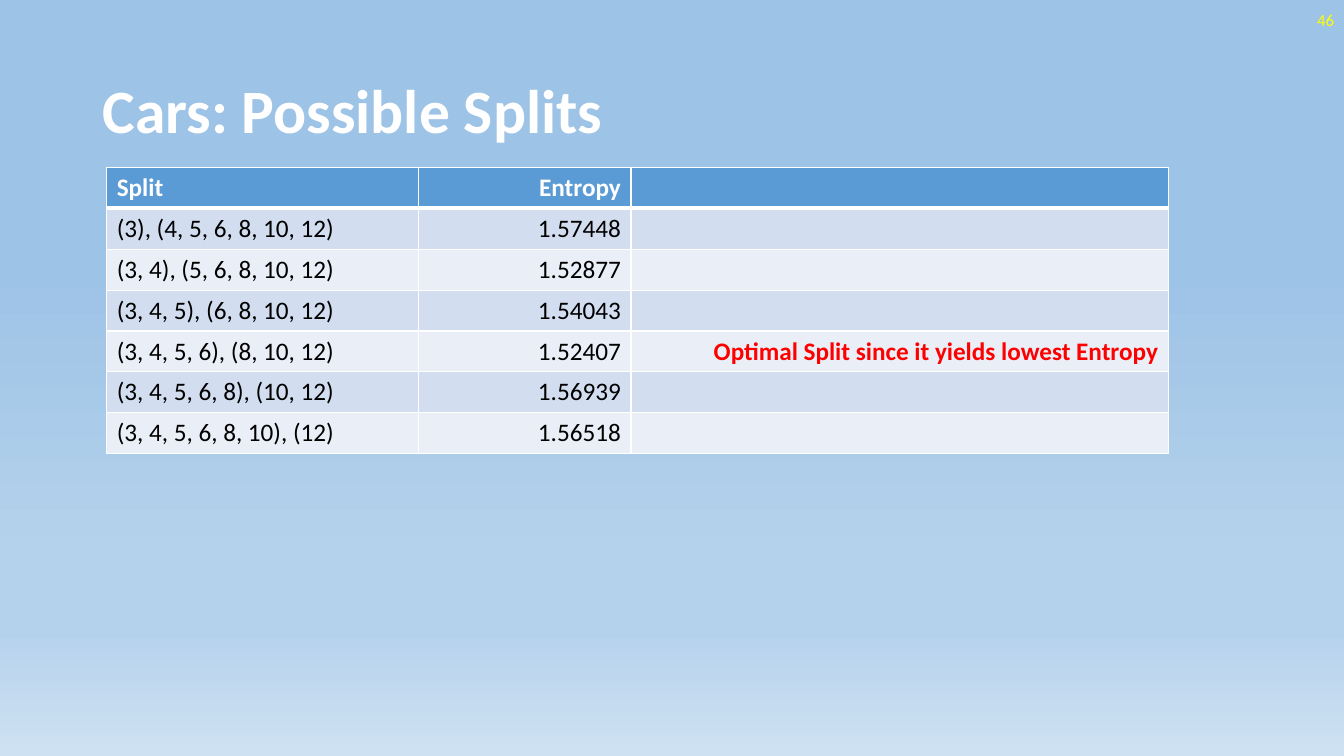
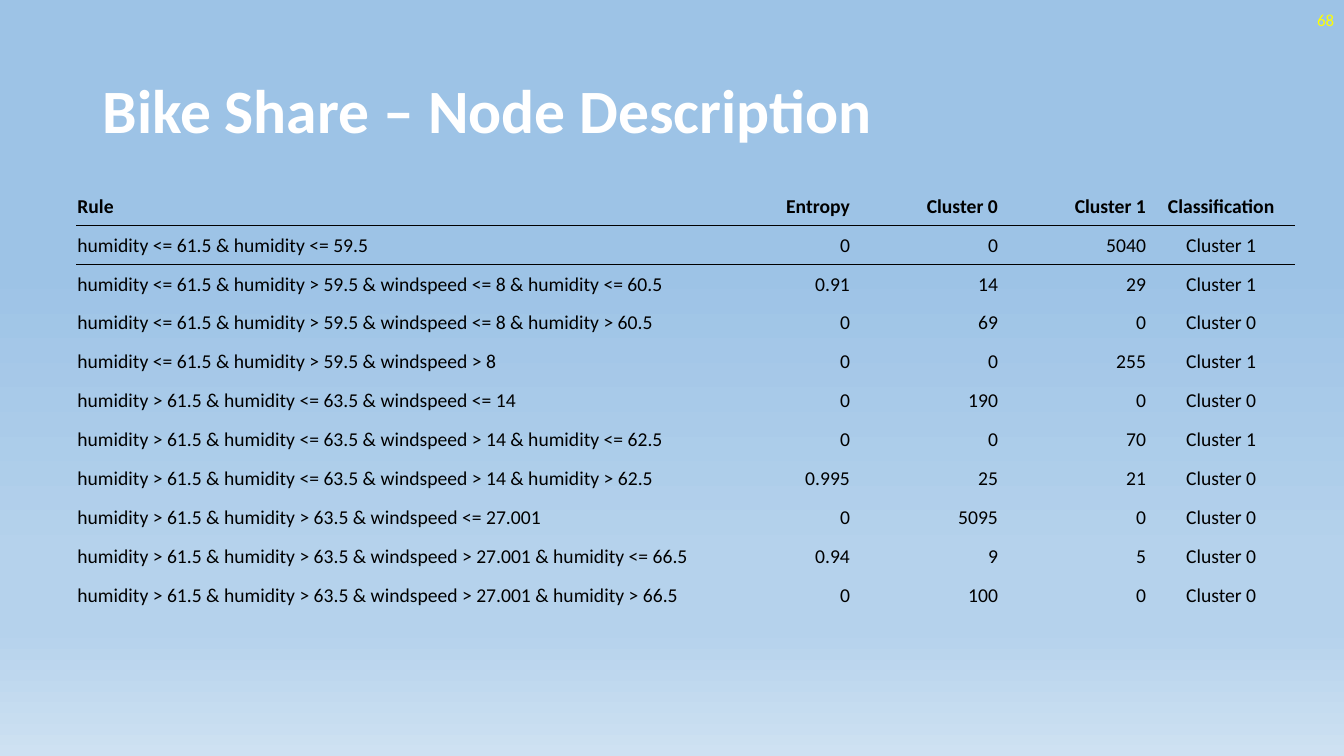
from lxml.etree import SubElement
from pptx import Presentation
from pptx.dml.color import RGBColor
from pptx.enum.text import MSO_ANCHOR, MSO_AUTO_SIZE, PP_ALIGN
from pptx.oxml.ns import qn
from pptx.util import Cm, Pt

COLORS = {
    "white": "FFFFFF", "black": "000000", "number": "FFFF00", "highlight": "FF0000",
    "header": "5B9BD5", "odd_row": "D2DEEF", "even_row": "EAEFF7",
}
BACKGROUND_STOPS = [(35, "9DC3E6"), (74, "B5D2EC"), (83, "B5D2EC"), (100, "CEE1F2")]
FONT = "Calibri"
NO_STYLE = "{2D5ABB26-0587-4C30-8999-92F81FD0307C}"
LEFT, CENTER, RIGHT = PP_ALIGN.LEFT, PP_ALIGN.CENTER, PP_ALIGN.RIGHT

SPLITS = [
    ("Split", "Entropy", ""),
    ("(3), (4, 5, 6, 8, 10, 12)", "1.57448", ""),
    ("(3, 4), (5, 6, 8, 10, 12)", "1.52877", ""),
    ("(3, 4, 5), (6, 8, 10, 12)", "1.54043", ""),
    ("(3, 4, 5, 6), (8, 10, 12)", "1.52407", "Optimal Split since it yields lowest Entropy"),
    ("(3, 4, 5, 6, 8), (10, 12)", "1.56939", ""),
    ("(3, 4, 5, 6, 8, 10), (12)", "1.56518", ""),
]
NODES = [
    ("Rule", "Entropy", "Cluster 0", "Cluster 1", "Classification"),
    ("humidity <= 61.5 & humidity <= 59.5", "0", "0", "5040", "Cluster 1"),
    ("humidity <= 61.5 & humidity > 59.5 & windspeed <= 8 & humidity <= 60.5",
     "0.91", "14", "29", "Cluster 1"),
    ("humidity <= 61.5 & humidity > 59.5 & windspeed <= 8 & humidity > 60.5",
     "0", "69", "0", "Cluster 0"),
    ("humidity <= 61.5 & humidity > 59.5 & windspeed > 8", "0", "0", "255", "Cluster 1"),
    ("humidity > 61.5 & humidity <= 63.5 & windspeed <= 14", "0", "190", "0", "Cluster 0"),
    ("humidity > 61.5 & humidity <= 63.5 & windspeed > 14 & humidity <= 62.5",
     "0", "0", "70", "Cluster 1"),
    ("humidity > 61.5 & humidity <= 63.5 & windspeed > 14 & humidity > 62.5",
     "0.995", "25", "21", "Cluster 0"),
    ("humidity > 61.5 & humidity > 63.5 & windspeed <= 27.001", "0", "5095", "0", "Cluster 0"),
    ("humidity > 61.5 & humidity > 63.5 & windspeed > 27.001 & humidity <= 66.5",
     "0.94", "9", "5", "Cluster 0"),
    ("humidity > 61.5 & humidity > 63.5 & windspeed > 27.001 & humidity > 66.5",
     "0", "100", "0", "Cluster 0"),
]


def set_background(master):
    fill = master.background.fill
    fill.gradient()
    fill.gradient_angle = 270
    stops = master.element.find(".//" + qn("a:gsLst"))
    for stop in list(stops):
        stops.remove(stop)
    for percent, color in BACKGROUND_STOPS:
        stop = SubElement(stops, qn("a:gs"), pos=str(percent * 1000))
        SubElement(stop, qn("a:srgbClr"), val=color)


def write(paragraph, text, size, color, bold=False, align=LEFT):
    paragraph.text = text
    paragraph.alignment = align
    font = paragraph.font
    font.name, font.size, font.bold = FONT, Pt(size), bold
    font.color.rgb = RGBColor.from_string(COLORS[color])


def add_titled_slide(prs, heading, number):
    slide = prs.slides.add_slide(prs.slide_layouts[5])
    title = slide.shapes.title
    title.left, title.top, title.width, title.height = Cm(2.33), Cm(1.01), Cm(29.21), Cm(3.68)
    frame = title.text_frame
    frame.auto_size = MSO_AUTO_SIZE.NONE
    frame.vertical_anchor = MSO_ANCHOR.MIDDLE
    write(frame.paragraphs[0], heading, 44, "white", bold=True)
    frame.paragraphs[0].line_spacing = 0.9

    page = slide.shapes.add_textbox(Cm(26.25), 0, Cm(7.62), Cm(1.01)).text_frame
    page.word_wrap = True
    page.vertical_anchor = MSO_ANCHOR.MIDDLE
    write(page.paragraphs[0], str(number), 12, "number", align=RIGHT)
    return slide


def set_borders(cell, color, widths):
    properties = cell._tc.get_or_add_tcPr()
    for index, side in enumerate(side for side in "LRTB" if side in widths):
        line = SubElement(properties, qn(f"a:ln{side}"), w=str(Pt(widths[side])))
        fill = SubElement(line, qn("a:solidFill"))
        SubElement(fill, qn("a:srgbClr"), val=COLORS[color])
        properties.insert(index, line)


def add_plain_table(slide, rows, left, top, column_widths, row_height):
    frame = slide.shapes.add_table(len(rows), len(column_widths), Cm(left), Cm(top),
                                   Cm(sum(column_widths)), Cm(row_height * len(rows)))
    table = frame.table
    table.first_row = table.horz_banding = False
    table._tbl.tblPr.find(qn("a:tableStyleId")).text = NO_STYLE
    for column, width in zip(table.columns, column_widths):
        column.width = Cm(width)
    for row in table.rows:
        row.height = Cm(row_height)
    return table


def add_splits_table(slide, left, top):
    table = add_plain_table(slide, SPLITS, left, top, [7.85, 5.36, 13.55], 1.03)
    for r, row in enumerate(SPLITS):
        band = "header" if r == 0 else "odd_row" if r % 2 else "even_row"
        for c, text in enumerate(row):
            cell = table.cell(r, c)
            cell.fill.solid()
            cell.fill.fore_color.rgb = RGBColor.from_string(COLORS[band])
            set_borders(cell, "white", {"L": 1, "R": 1, "T": 3 if r == 1 else 1,
                                        "B": 3 if r == 0 else 1})
            color = "white" if r == 0 else "highlight" if c == 2 else "black"
            write(cell.text_frame.paragraphs[0], text, 18, color,
                  bold=color != "black", align=RIGHT if c else LEFT)


def add_nodes_table(slide, left, top):
    table = add_plain_table(slide, NODES, left, top, [15.8] + [3.73] * 4, 0.98)
    alignments = [LEFT, RIGHT, RIGHT, RIGHT, CENTER]
    for r, row in enumerate(NODES):
        for c, text in enumerate(row):
            cell = table.cell(r, c)
            cell.fill.background()
            cell.vertical_anchor = MSO_ANCHOR.MIDDLE
            cell.margin_left = cell.margin_right = cell.margin_top = Cm(0.03)
            cell.margin_bottom = 0
            if r < 2:
                set_borders(cell, "black", {"T" if r else "B": 0.5})
            write(cell.text_frame.paragraphs[0], text, 14, "black",
                  bold=r == 0, align=alignments[c])


def main():
    prs = Presentation()
    prs.slide_width, prs.slide_height = Cm(33.87), Cm(19.05)
    set_background(prs.slide_master)
    add_splits_table(add_titled_slide(prs, "Cars: Possible Splits", 46), 2.69, 4.22)
    add_nodes_table(add_titled_slide(prs, "Bike Share – Node Description", 68), 1.92, 4.7)
    prs.save("out.pptx")


if __name__ == "__main__":
    main()
